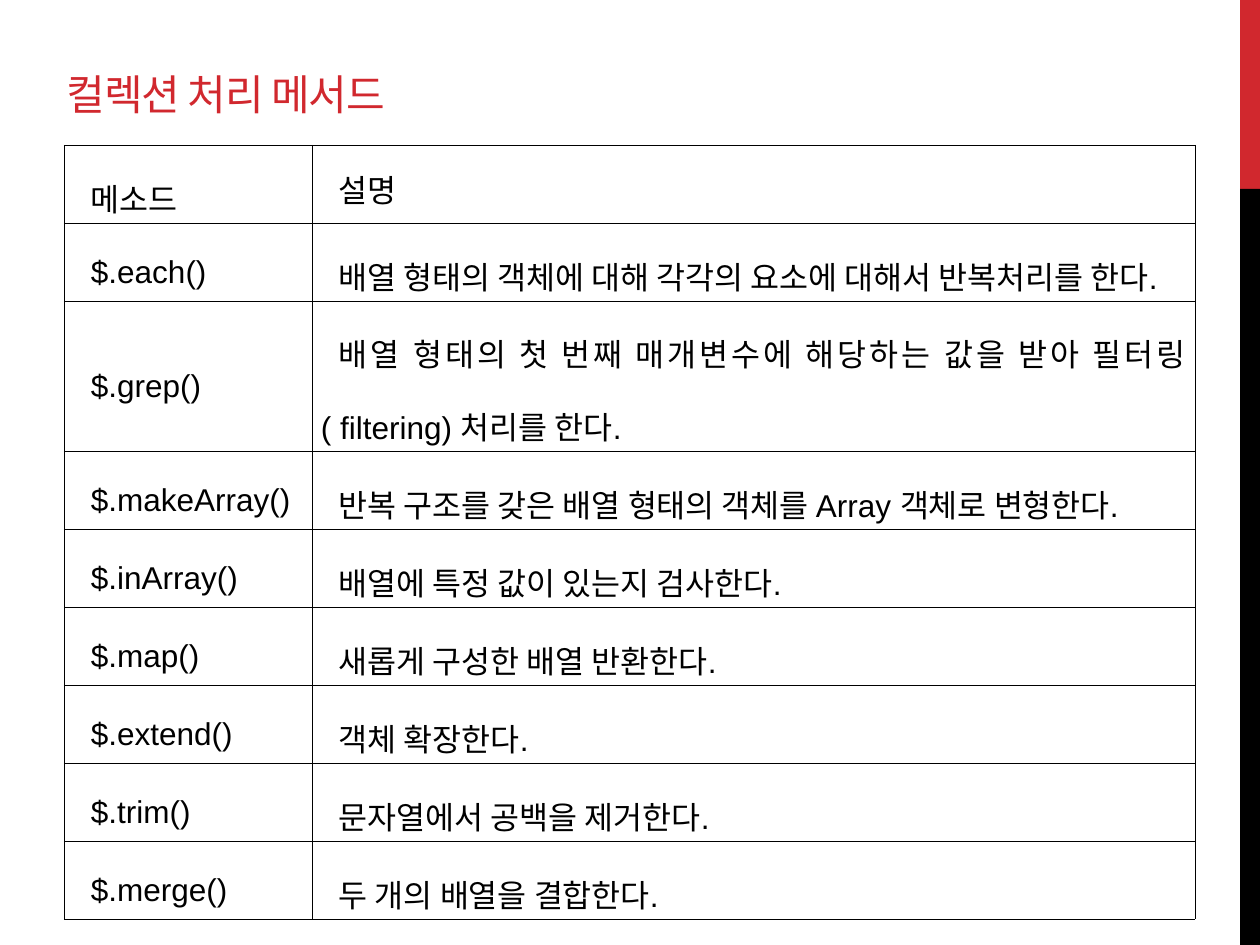
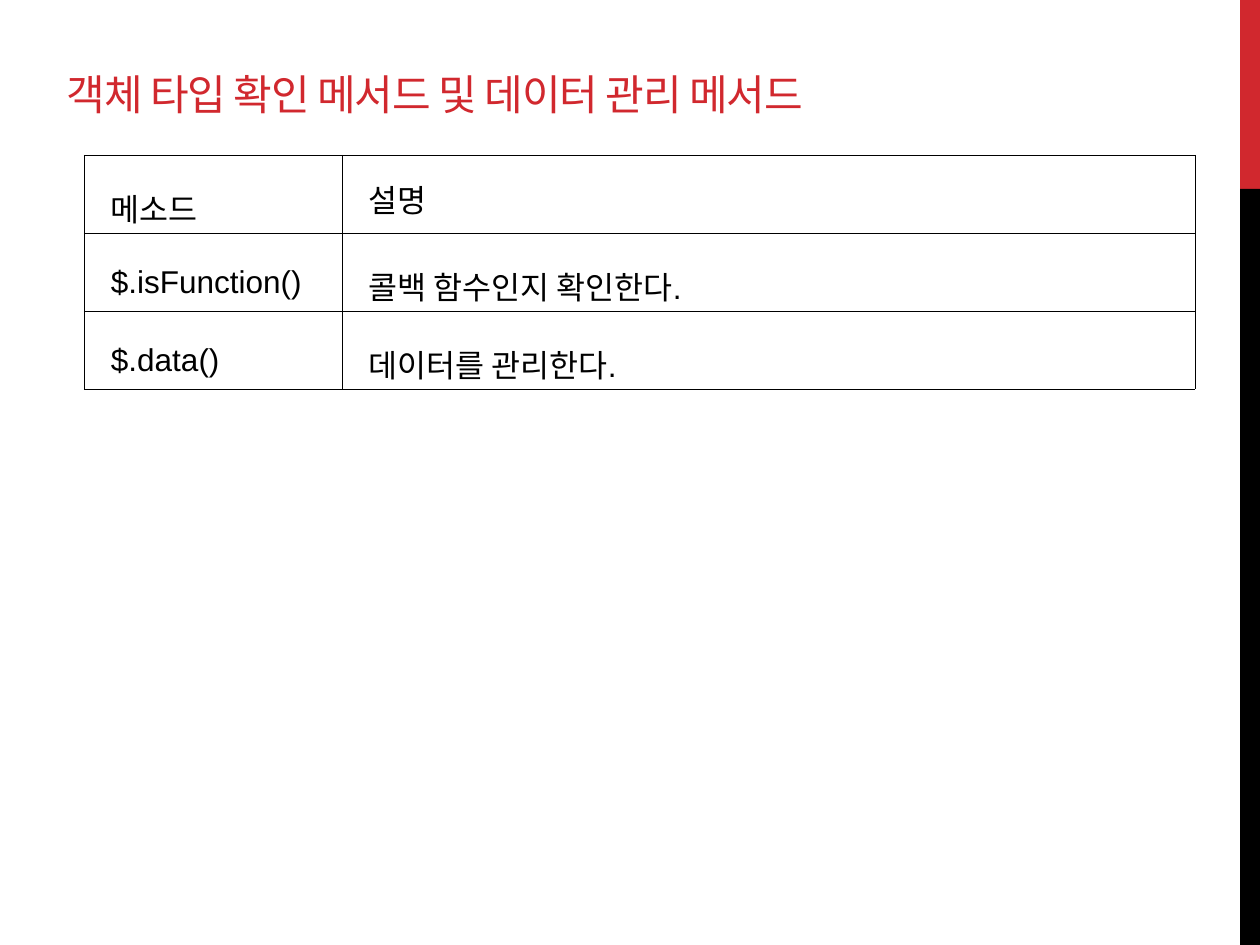
from dataclasses import dataclass

from lxml import etree
from pptx import Presentation
from pptx.dml.color import RGBColor
from pptx.enum.shapes import MSO_SHAPE
from pptx.enum.text import MSO_ANCHOR, MSO_AUTO_SIZE, PP_ALIGN
from pptx.oxml.ns import qn
from pptx.util import Emu, Pt

RECT = MSO_SHAPE.RECTANGLE
MIDDLE, BOTTOM = MSO_ANCHOR.MIDDLE, MSO_ANCHOR.BOTTOM
LEFT, JUSTIFY = PP_ALIGN.LEFT, PP_ALIGN.JUSTIFY
FIXED_SIZE = MSO_AUTO_SIZE.NONE
TITLE_ONLY = 5
PX_PER_INCH = 126


@dataclass(frozen=True)
class Theme:
    red: str = "D1282E"
    black: str = "000000"
    title_font: str = "Montserrat"
    body_font: str = "Arial"
    title_size: int = 24
    title_tracking: int = -60  # hundredths of a point
    body_size: int = 18
    border_width: float = 0.25
    line_spacing: float = 1.6
    heading_spacing: float = 1.2
    first_indent: int = 18
    cell_margin_x: int = 9
    cell_margin_y: int = 2


THEME = Theme()

# Boxes are left, top, width, height in px
SLIDE_SIZE = (1260, 945)
BAND_BOX = (1240, 0, 20, 945)
RED_BAND_HEIGHT = 189
TITLE_BOX = (54, 45, 1172, 80)
ROW_HEIGHT = 78
TWO_LINE_ROW_HEIGHT = 150

HEADING = ("메소드", "설명")
COLLECTION_METHODS = [
    ("$.each()", "배열 형태의 객체에 대해 각각의 요소에 대해서 반복처리를 한다."),
    ("$.grep()", "배열 형태의 첫 번째 매개변수에 해당하는 값을 받아 필터링( filtering) 처리를 한다."),
    ("$.makeArray()", "반복 구조를 갖은 배열 형태의 객체를 Array 객체로 변형한다."),
    ("$.inArray()", "배열에 특정 값이 있는지 검사한다."),
    ("$.map()", "새롭게 구성한 배열 반환한다."),
    ("$.extend()", "객체 확장한다."),
    ("$.trim()", "문자열에서 공백을 제거한다."),
    ("$.merge()", "두 개의 배열을 결합한다."),
]
TYPE_AND_DATA_METHODS = [
    ("$.isFunction()", "콜백 함수인지 확인한다."),
    ("$.data()", "데이터를 관리한다."),
]


def px(length):
    return Emu(round(length * 914400 / PX_PER_INCH))


def style_font(paragraph, name, size, color):
    paragraph.font.name = name
    paragraph.font.size = Pt(size)
    paragraph.font.color.rgb = RGBColor.from_string(color)


def add_side_bands(slide, box):
    """Red band above a black one along the right edge."""
    left, top, width, height = box
    bands = [
        (top, RED_BAND_HEIGHT, THEME.red),
        (top + RED_BAND_HEIGHT, height - RED_BAND_HEIGHT, THEME.black),
    ]
    for band_top, band_height, color in bands:
        band = slide.shapes.add_shape(RECT, px(left), px(band_top), px(width), px(band_height))
        band.shadow.inherit = False
        band.fill.solid()
        band.fill.fore_color.rgb = RGBColor.from_string(color)
        band.line.fill.background()


def set_title(slide, box, wording):
    title = slide.shapes.title
    title.left, title.top, title.width, title.height = map(px, box)
    frame = title.text_frame
    frame.text = wording
    frame.word_wrap = True
    frame.auto_size = FIXED_SIZE
    frame.vertical_anchor = BOTTOM
    heading = frame.paragraphs[0]
    heading.alignment = LEFT
    style_font(heading, THEME.title_font, THEME.title_size, THEME.red)
    heading.runs[0].font._element.set("spc", str(THEME.title_tracking))


def add_borders(cell):
    properties = cell._tc.get_or_add_tcPr()
    for side in ("a:lnL", "a:lnR", "a:lnT", "a:lnB"):
        border = etree.SubElement(properties, qn(side), w=str(Pt(THEME.border_width)))
        fill = etree.SubElement(border, qn("a:solidFill"))
        etree.SubElement(fill, qn("a:srgbClr"), val=THEME.black)


def fill_cell(cell, wording, line_spacing):
    add_borders(cell)
    cell.fill.background()
    cell.vertical_anchor = MIDDLE
    cell.margin_left = cell.margin_right = px(THEME.cell_margin_x)
    cell.margin_top = cell.margin_bottom = px(THEME.cell_margin_y)
    cell.text = wording
    paragraph = cell.text_frame.paragraphs[0]
    paragraph.alignment = JUSTIFY
    paragraph.line_spacing = line_spacing
    paragraph._p.get_or_add_pPr().set("indent", str(px(THEME.first_indent)))
    style_font(paragraph, THEME.body_font, THEME.body_size, THEME.black)


def add_method_table(slide, box, name_width, methods, two_line_methods):
    left, top, width = box
    entries = [HEADING, *methods]
    heights = [TWO_LINE_ROW_HEIGHT if name in two_line_methods else ROW_HEIGHT
               for name, _ in entries]
    table = slide.shapes.add_table(len(entries), len(HEADING), px(left), px(top),
                                   px(width), px(sum(heights))).table
    table.first_row = False
    table.horz_banding = False
    table.columns[0].width = px(name_width)
    table.columns[1].width = px(width - name_width)
    for row, (entry, height) in enumerate(zip(entries, heights)):
        table.rows[row].height = px(height)
        for column, wording in enumerate(entry):
            is_description_heading = (row, column) == (0, 1)
            spacing = THEME.heading_spacing if is_description_heading else THEME.line_spacing
            fill_cell(table.cell(row, column), wording, spacing)


def add_method_slide(deck, title, table_box, name_width, methods, two_line_methods=()):
    slide = deck.slides.add_slide(deck.slide_layouts[TITLE_ONLY])
    add_side_bands(slide, BAND_BOX)
    set_title(slide, TITLE_BOX, title)
    add_method_table(slide, table_box, name_width, methods, two_line_methods)


def main():
    deck = Presentation()
    deck.slide_width, deck.slide_height = map(px, SLIDE_SIZE)
    # Collection methods
    add_method_slide(deck, "컬렉션 처리 메서드", (64, 145, 1131), 248,
                     COLLECTION_METHODS, two_line_methods=("$.grep()",))
    # Type check and data methods
    add_method_slide(deck, "객체 타입 확인 메서드 및 데이터 관리 메서드", (84, 155, 1111), 258,
                     TYPE_AND_DATA_METHODS)
    deck.save("out.pptx")


if __name__ == "__main__":
    main()
